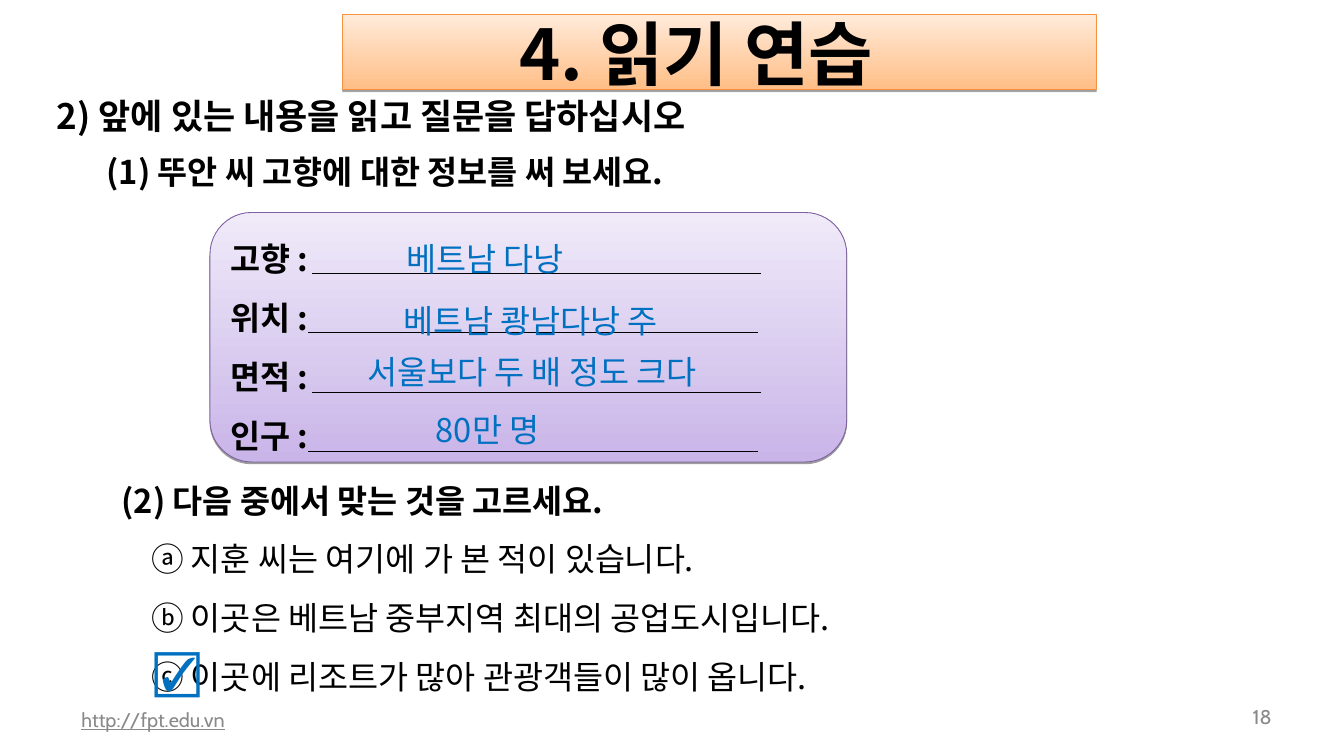
from dataclasses import dataclass
from lxml import etree
from pptx import Presentation
from pptx.dml.color import RGBColor
from pptx.enum.shapes import MSO_CONNECTOR, MSO_SHAPE
from pptx.enum.text import MSO_ANCHOR, MSO_AUTO_SIZE, PP_ALIGN
from pptx.oxml.ns import qn
from pptx.util import Inches, Pt

LEFT, MID, RIGHT = PP_ALIGN.LEFT, PP_ALIGN.CENTER, PP_ALIGN.RIGHT
TOP, CENTER = MSO_ANCHOR.TOP, MSO_ANCHOR.MIDDLE

# Content
TITLE = "4. 읽기 연습"
TASK = "2) 앞에 있는 내용을 읽고 질문을 답하십시오"
FORM = "(1) 뚜안 씨 고향에 대한 정보를 써 보세요."
LABELS = ["고향 :", "위치 :", "면적 :", "인구 :"]
ANSWERS = [  # text, left, top, width
    ("베트남 다낭", 4.05, 2.57, 3.45),
    ("베트남 쾅남다낭 주", 4.05, 3.31, 4.53),
    ("서울보다 두 배 정도 크다", 3.93, 3.91, 4.8),
    ("80만 명", 4.08, 4.6, 3.45),
]
CHOOSE = "(2) 다음 중에서 맞는 것을 고르세요."
OPTIONS = [
    "ⓐ 지훈 씨는 여기에 가 본 적이 있습니다.",
    "ⓑ 이곳은 베트남 중부지역 최대의 공업도시입니다.",
    "ⓒ 이곳에 리조트가 많아 관광객들이 많이 옵니다.",
]
MARK = "☑"
SITE = "http://fpt.edu.vn"
PAGE = "18"


@dataclass(frozen=True)
class Theme:
    font: str = "Noto Sans CJK KR"
    small: str = "Cabin"
    sign: str = "Arial"
    ink: str = "000000"
    blue: str = "0070C0"
    gray: str = "898989"
    peach: tuple = ("FFBE86", "FFEBDB", "F69240")  # bottom, top, border
    lilac: tuple = ("C9B5E8", "F0EAF9", "7D60A0")
    title: int = 60
    mark: int = 40
    task: int = 30
    body: int = 28
    foot: int = 17


T = Theme()


def rgb(code):
    return RGBColor.from_string(code)


def frame(shape, anchor=TOP, pad=(0.1, 0.05, 0.1, 0.05)):
    tf = shape.text_frame
    tf.word_wrap = True
    tf.auto_size = MSO_AUTO_SIZE.NONE
    tf.vertical_anchor = anchor
    (tf.margin_left, tf.margin_top,
     tf.margin_right, tf.margin_bottom) = map(Inches, pad)
    return tf


def write(par, text, size, color=T.ink, font=T.font, bold=False,
          align=LEFT, space=1.0, line=False):
    par.alignment, par.line_spacing = align, space
    run = par.add_run()
    run.text = text
    face = run.font
    face.size, face.name, face.bold = Pt(size), font, bold
    face.color.rgb = rgb(color)
    if line:
        face.underline = True
    for tag in ("a:ea", "a:cs"):
        etree.SubElement(run._r.get_or_add_rPr(), qn(tag), typeface=font)


def label(slide, box, text, size, anchor=TOP, pad=(0.1, 0.05, 0.1, 0.05),
          **style):
    tf = frame(slide.shapes.add_textbox(*map(Inches, box)), anchor, pad)
    write(tf.paragraphs[0], text, size, **style)
    return tf


def panel(shape, colors):
    """Vertical gradient, thin border and a short drop shadow."""
    low, high, edge = colors
    shape.fill.gradient()
    shape.fill.gradient_angle = 90
    for stop, code in zip(shape.fill.gradient_stops, (low, high)):
        stop.color.rgb = rgb(code)
    shape.line.color.rgb = rgb(edge)
    shape.line.width = Pt(0.75)
    shape.shadow.inherit = False
    effect = shape._element.spPr.find(qn("a:effectLst"))
    drop = etree.SubElement(effect, qn("a:outerShdw"), blurRad="0",
                            dist=str(Pt(1.6)), dir="5400000", rotWithShape="0")
    tint = etree.SubElement(drop, qn("a:srgbClr"), val=T.ink)
    etree.SubElement(tint, qn("a:alpha"), val="38000")


def rule(slide, left, top, width):
    line = slide.shapes.add_connector(
        MSO_CONNECTOR.STRAIGHT, Inches(left), Inches(top),
        Inches(left + width), Inches(top))
    line.line.color.rgb = rgb(T.ink)
    line.line.width = Pt(0.75)
    etree.SubElement(line._element.spPr, qn("a:effectLst"))


def main():
    prs = Presentation()
    prs.slide_width, prs.slide_height = Inches(16), Inches(9)
    slide = prs.slides.add_slide(prs.slide_layouts[5])

    # Title, set a little left of the banner's middle
    head = slide.shapes.title
    head.left, head.top, head.width, head.height = map(
        Inches, (4.08, 0.17, 8.97, 0.9))
    panel(head, T.peach)
    tf = frame(head, CENTER, (0.1, 0.05, 0.65, 0.05))
    write(tf.paragraphs[0], TITLE, T.title, bold=True, align=MID)

    # Task lines
    label(slide, (0.58, 1.08, 10.75, 0.6), TASK, T.task, bold=True)
    label(slide, (1.17, 1.76, 7.48, 0.57), FORM, T.body, bold=True)

    # Form card with its labels
    card = slide.shapes.add_shape(MSO_SHAPE.ROUNDED_RECTANGLE, *map(
        Inches, (2.5, 2.53, 7.58, 2.97)))
    card.adjustments[0] = 0.167
    panel(card, T.lilac)
    tf = frame(card, CENTER)
    for i, text in enumerate(LABELS):
        par = tf.add_paragraph() if i else tf.paragraphs[0]
        write(par, text, T.body, bold=True, space=1.5)

    # Question with options
    tf = label(slide, (1.35, 5.67, 13.15, 2.67), CHOOSE, T.body, bold=True)
    for text in OPTIONS:
        par = tf.add_paragraph()
        par._p.get_or_add_pPr().set("marL", str(Inches(0.35)))
        write(par, text, T.body, space=1.5)

    # Blanks and answers
    for i, (text, left, top, width) in enumerate(ANSWERS):
        rule(slide, 3.67 if i % 2 else 3.71, 3.25 + 0.71 * i, 5.35)
        label(slide, (left, top, width, 0.78), text, T.body,
              pad=(0.08, 0.04, 0.08, 0.04), color=T.blue,
              align=MID, space=1.5)

    # Tick on the right option
    label(slide, (1.65, 7.59, 0.92, 0.77), MARK, T.mark, color=T.blue,
          font=T.sign, align=MID)

    # Footer
    foot = dict(size=T.foot, anchor=CENTER, pad=(0.14, 0.07, 0.14, 0.07),
                color=T.gray, font=T.small)
    label(slide, (0.83, 8.33, 5.07, 0.48), SITE, line=True, **foot)
    label(slide, (14.5, 8.33, 0.78, 0.41), PAGE, align=RIGHT, **foot)

    prs.save("out.pptx")


if __name__ == "__main__":
    main()
